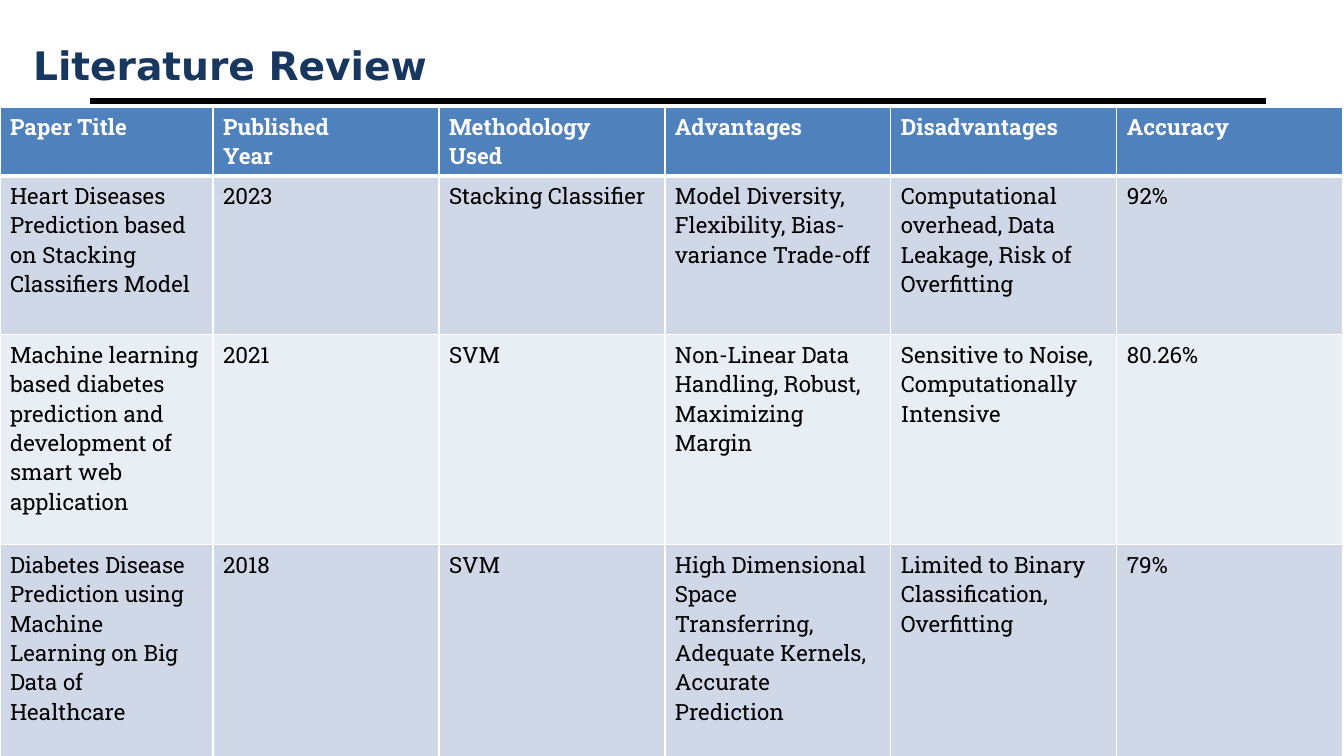
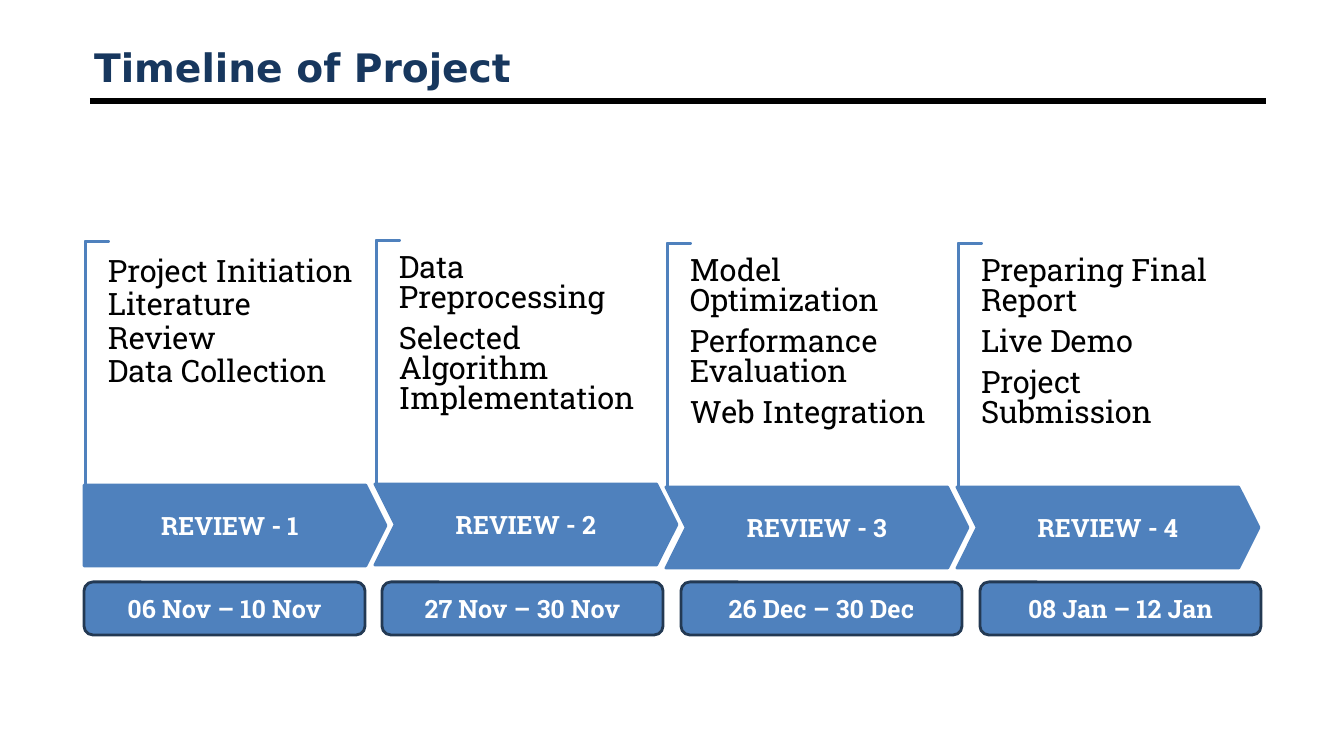
from dataclasses import dataclass

from lxml.etree import SubElement
from pptx import Presentation
from pptx.dml.color import RGBColor
from pptx.enum.shapes import MSO_CONNECTOR, MSO_SHAPE
from pptx.enum.text import MSO_ANCHOR, MSO_AUTO_SIZE, PP_ALIGN
from pptx.oxml.ns import qn
from pptx.util import Emu, Pt

COLORS = {
    "title": "17375E", "rule": "000000", "text": "000000", "white": "FFFFFF",
    "blue": "4F81BD", "edge": "233953", "band_dark": "D0D8E8", "band_light": "E9EDF4",
}
TITLE_FONT, BODY_FONT = "DejaVu Sans", "Roboto Slab"
EMU_PER_PX = 12192000 / 1344


@dataclass(frozen=True)
class Box:
    """A rectangle in pixels."""
    x: int
    y: int
    w: int
    h: int

    def emu(self) -> tuple:
        """Return left, top, width and height in EMU."""
        return tuple(px(v) for v in (self.x, self.y, self.w, self.h))


@dataclass(frozen=True)
class Milestone:
    """One review of the project timeline."""
    name: str
    tasks: tuple
    dates: str
    top: int
    spacing: float = 0.81


COLUMN_WIDTHS = (213, 226, 226, 226, 226, 226)
ROW_HEIGHTS = (68, 159, 210, 212)
PAPERS = (
    ("Paper Title", "Published \nYear", "Methodology\nUsed",
     "Advantages", "Disadvantages", "Accuracy"),
    ("Heart Diseases Prediction based on Stacking Classifiers Model", "2023",
     "Stacking Classifier", "Model Diversity, Flexibility, Bias-variance Trade-off",
     "Computational overhead, Data Leakage, Risk of Overfitting", "92%"),
    ("Machine learning based diabetes prediction and development of smart web application",
     "2021", "SVM", "Non-Linear Data Handling, Robust, Maximizing Margin",
     "Sensitive to Noise, Computationally Intensive", "80.26%"),
    ("Diabetes Disease Prediction using Machine Learning on Big Data of Healthcare",
     "2018", "SVM",
     "High Dimensional Space Transferring, Adequate Kernels, Accurate Prediction",
     "Limited to Binary Classification, Overfitting", "79%"),
)
MILESTONES = (
    Milestone("REVIEW - 1", ("Project Initiation\nLiterature Review\nData Collection",),
              "06 Nov – 10 Nov", 485, 0.9),
    Milestone("REVIEW - 2", ("Data Preprocessing ", "Selected Algorithm Implementation"),
              "27 Nov – 30 Nov", 484),
    Milestone("REVIEW - 3", ("Model Optimization", "Performance Evaluation", "Web Integration"),
              "26 Dec – 30 Dec", 487),
    Milestone("REVIEW - 4", ("Preparing Final Report", "Live Demo ", "Project Submission"),
              "08 Jan – 12 Jan", 487),
)
TIMELINE_LEFT, REVIEW_STEP, DATE_STEP = 84, 291, 298.5


def px(value: float) -> Emu:
    """Turn pixels into EMU."""
    return Emu(round(value * EMU_PER_PX))


def rgb(name: str) -> RGBColor:
    """Look up a palette colour."""
    return RGBColor.from_string(COLORS[name])


def style_text(tf, size: float, color: str, bold: bool = False,
               font: str = BODY_FONT, align=PP_ALIGN.LEFT) -> None:
    """Format every paragraph and run of a text frame."""
    for p in tf.paragraphs:
        p.alignment = align
        for r in p.runs:
            r.font.size, r.font.bold, r.font.name = Pt(size), bold, font
            r.font.color.rgb = rgb(color)


def new_slide(prs, title: str, box: Box):
    """Add a slide with the shared title style and the black rule."""
    s = prs.slides.add_slide(prs.slide_layouts[5])
    rule = s.shapes.add_connector(MSO_CONNECTOR.STRAIGHT, px(90), px(101), px(1266), px(101))
    rule.line.color.rgb, rule.line.width = rgb("rule"), Pt(4.5)
    SubElement(rule.element.spPr, qn("a:effectLst"))
    sp = s.shapes.title
    sp.left, sp.top, sp.width, sp.height = box.emu()
    tf = sp.text_frame
    tf.text = title
    tf.auto_size, tf.vertical_anchor = MSO_AUTO_SIZE.NONE, MSO_ANCHOR.MIDDLE
    style_text(tf, 28, "title", True, TITLE_FONT)
    return s


def add_box(s, kind, box: Box, fill: str, line: str, text: str = ""):
    """Add a filled shape with an optional centred bold label."""
    sp = s.shapes.add_shape(kind, *box.emu())
    sp.shadow.inherit = False
    sp.fill.solid()
    sp.fill.fore_color.rgb = rgb(fill)
    sp.line.color.rgb, sp.line.width = rgb(line), Pt(2)
    if text:
        tf = sp.text_frame
        tf.text = text
        tf.vertical_anchor = MSO_ANCHOR.MIDDLE
        style_text(tf, 18, "white", True, align=PP_ALIGN.CENTER)
    return sp


def set_border(cell, side: str, width: float) -> None:
    """Draw one white edge of a table cell."""
    ln = SubElement(cell._tc.get_or_add_tcPr(), qn(f"a:ln{side}"), w=str(int(Pt(width))))
    SubElement(SubElement(ln, qn("a:solidFill")), qn("a:srgbClr"), val=COLORS["white"])


def add_paper_table(s) -> None:
    """Add the table of reviewed papers."""
    box = Box(0, 107, sum(COLUMN_WIDTHS), sum(ROW_HEIGHTS))
    table = s.shapes.add_table(len(PAPERS), len(COLUMN_WIDTHS), *box.emu()).table
    for column, width in zip(table.columns, COLUMN_WIDTHS):
        column.width = px(width)
    for i, (row, height, values) in enumerate(zip(table.rows, ROW_HEIGHTS, PAPERS)):
        row.height = px(height)
        header = i == 0
        fill = "blue" if header else "band_dark" if i % 2 else "band_light"
        for cell, value in zip(row.cells, values):
            cell.text_frame.text = value
            style_text(cell.text_frame, 16, "white" if header else "text", header)
            edges = {"L": 1, "R": 1, "T": 3 if i == 1 else 1, "B": 3 if header else 1}
            for side, width in edges.items():
                set_border(cell, side, width)
            cell.fill.solid()
            cell.fill.fore_color.rgb = rgb(fill)


def add_tasks(s, milestone: Milestone, box: Box) -> None:
    """Add the task list of a milestone."""
    tf = s.shapes.add_textbox(*box.emu()).text_frame
    tf.word_wrap = True
    tf.margin_left = tf.margin_top = tf.margin_right = tf.margin_bottom = 0
    for i, task in enumerate(milestone.tasks):
        p = tf.add_paragraph() if i else tf.paragraphs[0]
        p.text = task
        p.line_spacing, p.space_after = milestone.spacing, Pt(7.7)
    style_text(tf, 22, "text")


def add_milestone(s, index: int, milestone: Milestone) -> None:
    """Add the bracket, arrow, tasks and dates of a milestone."""
    x, y = TIMELINE_LEFT + index * REVIEW_STEP, milestone.top
    bracket = add_box(s, MSO_SHAPE.CORNER, Box(x - 109, y - 134, 244, 24), "white", "blue")
    bracket.rotation = 90
    bracket.adjustments[0] = bracket.adjustments[1] = 0.01
    kind = MSO_SHAPE.CHEVRON if index else MSO_SHAPE.PENTAGON
    arrow = add_box(s, kind, Box(x, y, 302, 81), "blue", "blue", milestone.name)
    arrow.adjustments[0] = 0.25
    add_tasks(s, milestone, Box(x + 24, y - 229, 246, 172))
    date_x = round(TIMELINE_LEFT + index * DATE_STEP)
    add_box(s, MSO_SHAPE.ROUNDED_RECTANGLE, Box(date_x, 582, 281, 53),
            "blue", "edge", milestone.dates)


def main() -> None:
    """Build and save the presentation."""
    prs = Presentation()
    prs.slide_width, prs.slide_height = px(1344), px(756)
    add_paper_table(new_slide(prs, "Literature Review", Box(23, 38, 1344, 53)))
    s = new_slide(prs, "Timeline of Project", Box(84, 40, 1176, 53))
    for index, milestone in enumerate(MILESTONES):
        add_milestone(s, index, milestone)
    prs.save("out.pptx")


main()
